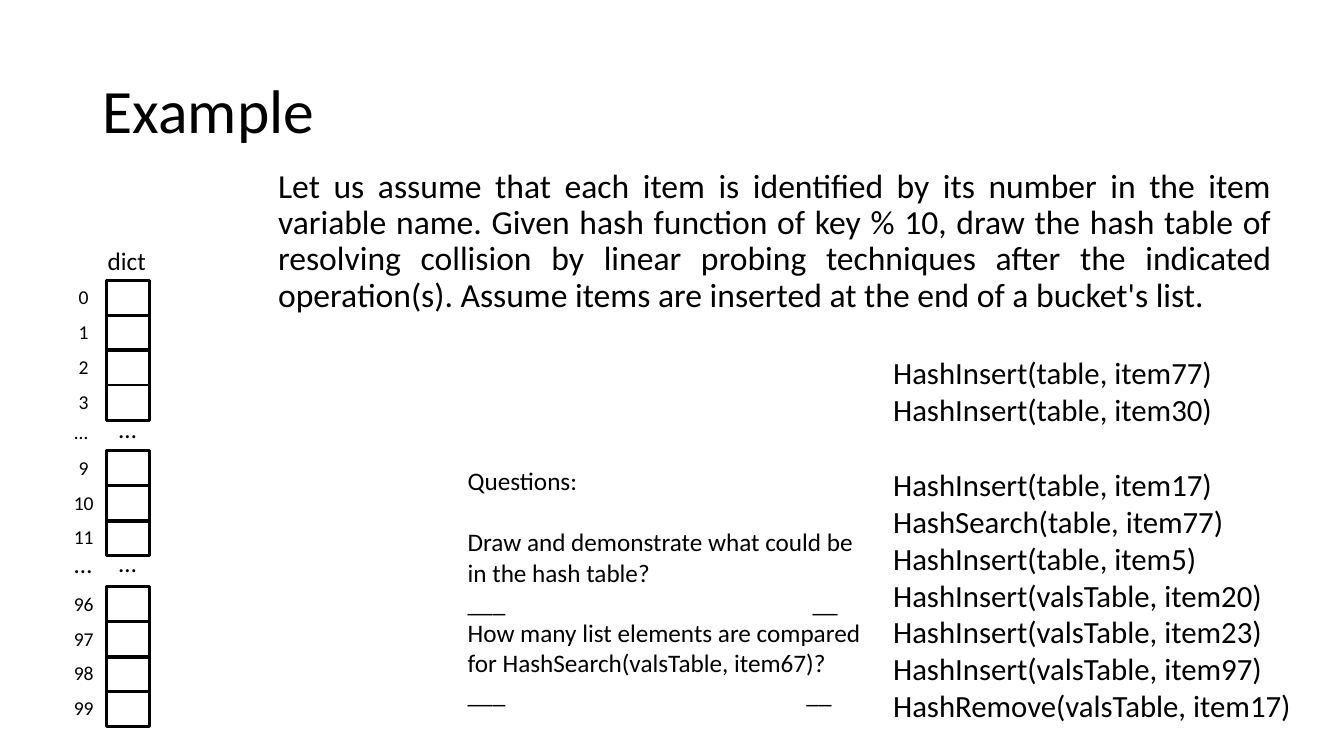
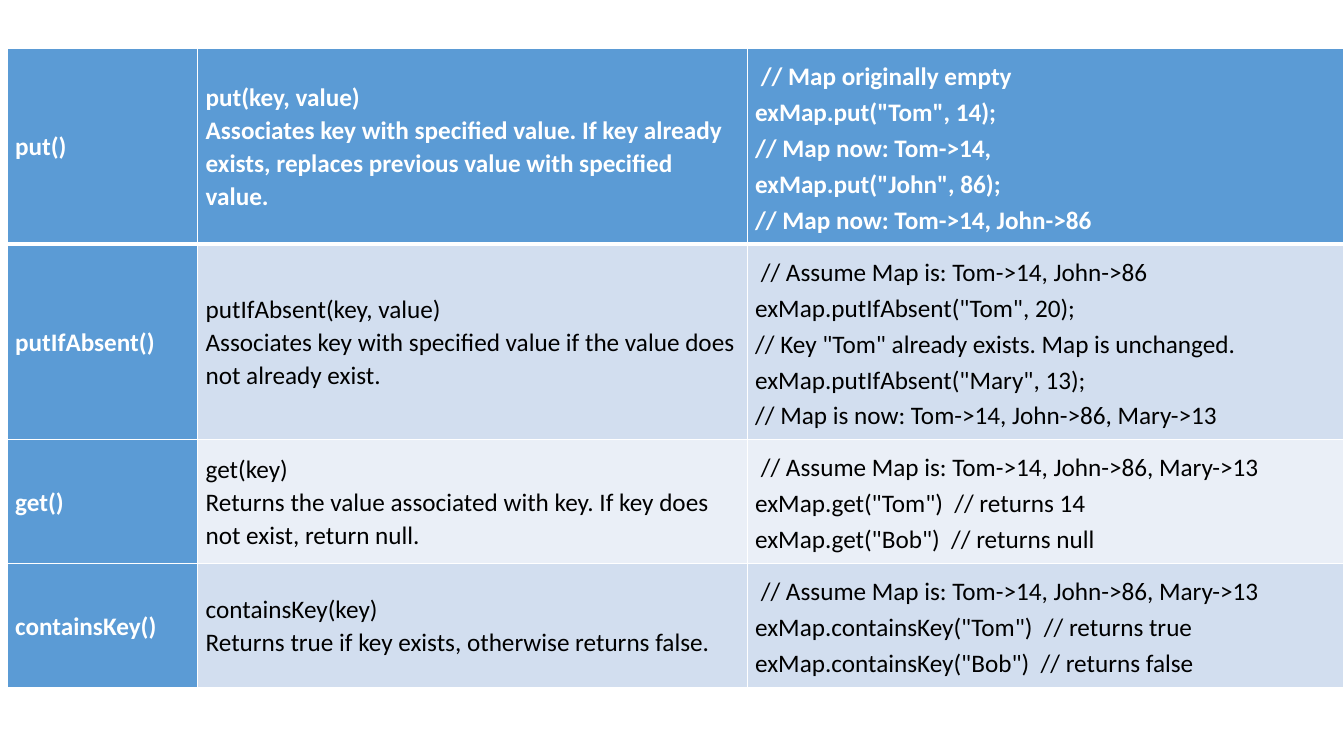
from pptx import Presentation
from pptx.dml.color import RGBColor
from pptx.enum.shapes import MSO_SHAPE
from pptx.enum.text import MSO_ANCHOR, MSO_AUTO_SIZE, PP_ALIGN
from pptx.oxml import parse_xml
from pptx.oxml.ns import nsdecls
from pptx.util import Emu, Pt

# Shared look
FONT = "Calibri"
BLACK, WHITE = "000000", "FFFFFF"
BLUE, PALE_BLUE, PALER_BLUE = "5B9BD5", "D2DEEF", "EAEFF7"

# Hash table: top of each run of buckets, and the bucket numbers in it
BUCKET_RUNS = [(278, [0, 1, 2, 3]), (447, [9, 10, 11]), (582, [96, 97, 98, 99])]
BUCKET_PITCH = 34.6
ELLIPSES = [(108, 405, 18), (108, 538, 18), (64, 412, 14), (64, 539, 18)]

ASSIGNMENT = (
    "Let us assume that each item is identified by its number in the item variable "
    "name. Given hash function of key % 10, draw the hash table of resolving collision "
    "by linear probing techniques after the indicated operation(s). Assume items are "
    "inserted at the end of a bucket's list."
)
FIRST_INSERTS = ["HashInsert(table, item77)", "HashInsert(table, item30)"]
LATER_OPERATIONS = [
    "HashInsert(table, item17)",
    "HashSearch(table, item77)",
    "HashInsert(table, item5)",
    "HashInsert(valsTable, item20)",
    "HashInsert(valsTable, item23)",
    "HashInsert(valsTable, item97)",
    "HashRemove(valsTable, item17)",
]
# Each question with the tab stop that ends its answer line
QUESTIONS = [
    ("Draw and demonstrate what could be in the hash table?", 342),
    ("How many list elements are compared for HashSearch(valsTable, item67)?", 336),
]

COLUMN_WIDTHS = [189, 545, 592]
# Row height, fill, method, description lines, example lines
METHOD_ROWS = [
    (194, BLUE, "put()",
     ["put(key, value)",
      "Associates key with specified value. If key already exists, "
      "replaces previous value with specified value."],
     [" // Map originally empty",
      'exMap.put("Tom", 14);',
      "// Map now: Tom->14,",
      'exMap.put("John", 86);',
      "// Map now: Tom->14, John->86"]),
    (194, PALE_BLUE, "putIfAbsent()",
     ["putIfAbsent(key, value)",
      "Associates key with specified value if the value does not already exist."],
     [" // Assume Map is: Tom->14, John->86",
      'exMap.putIfAbsent("Tom", 20);',
      '// Key "Tom" already exists. Map is unchanged.',
      'exMap.putIfAbsent("Mary", 13);',
      "// Map is now: Tom->14, John->86, Mary->13"]),
    (123, PALER_BLUE, "get()",
     ["get(key)",
      "Returns the value associated with key. If key does not exist, return null."],
     [" // Assume Map is: Tom->14, John->86, Mary->13",
      'exMap.get("Tom")  // returns 14',
      'exMap.get("Bob")  // returns null']),
    (123, PALE_BLUE, "containsKey()",
     ["containsKey(key)",
      "Returns true if key exists, otherwise returns false."],
     [" // Assume Map is: Tom->14, John->86, Mary->13",
      'exMap.containsKey("Tom")  // returns true',
      'exMap.containsKey("Bob")  // returns false']),
]


def px(length):
    """100 px make one inch."""
    return Emu(round(length * 9144))


def color(hex_string):
    return RGBColor.from_string(hex_string)


def apply(target, values):
    for name, value in values.items():
        setattr(target, name, value)


def add_span(para, text, size, ink=BLACK, **font):
    span = para.add_run()
    span.text = text
    apply(span.font, {"name": FONT, "size": Pt(size), **font})
    span.font.color.rgb = color(ink)


def add_para(frame, text, size, ink=BLACK, bold=False, **layout):
    """Use the empty first paragraph, then add new ones."""
    first = frame.paragraphs[0]
    para = frame.add_paragraph() if first.runs else first
    apply(para, layout)
    if text:
        add_span(para, text, size, ink, bold=bold)
    return para


def add_text_box(shapes, left, top, width, height, **frame_format):
    box = shapes.add_textbox(px(left), px(top), px(width), px(height))
    apply(box.text_frame, {"word_wrap": True, **frame_format})
    return box.text_frame


def add_small_text(shapes, text, size, left, top, width, height):
    frame = add_text_box(shapes, left, top, width, height, word_wrap=False,
                         auto_size=MSO_AUTO_SIZE.SHAPE_TO_FIT_TEXT)
    add_para(frame, text, size)


def add_bucket(shapes, number, top):
    bucket = shapes.add_shape(MSO_SHAPE.RECTANGLE, px(106), px(top), px(42), px(35))
    bucket.shadow.inherit = False
    bucket.fill.background()
    bucket.line.width = Pt(2)
    bucket.line.color.rgb = color(BLACK)
    label = add_text_box(shapes, 62, top - 1, 42, 35, margin_left=0, margin_right=0,
                         vertical_anchor=MSO_ANCHOR.MIDDLE)
    add_para(label, str(number), 14, alignment=PP_ALIGN.CENTER)


def add_answer_line(frame, size, tab_stop):
    """Underscores joined by an underlined tab."""
    para = add_para(frame, "", size)
    add_span(para, "___", size)
    add_span(para, "\t", size, underline=True)
    add_span(para, "__", size)
    para.runs[0].font.underline = False
    properties = parse_xml(
        f'<a:pPr {nsdecls("a")}><a:tabLst>'
        f'<a:tab pos="{px(tab_stop)}" algn="l"/></a:tabLst></a:pPr>')
    para._p.insert(0, properties)


def set_borders(cell, top, bottom):
    widths = {"lnL": 1, "lnR": 1, "lnT": top, "lnB": bottom}
    properties = cell._tc.get_or_add_tcPr()
    for side, width in widths.items():
        properties.append(parse_xml(
            f'<a:{side} {nsdecls("a")} w="{Pt(width)}"><a:solidFill>'
            f'<a:srgbClr val="{WHITE}"/></a:solidFill></a:{side}>'))


def fill_cell(cell, lines, fill, ink, bold, spacing):
    margins = ("margin_left", "margin_top", "margin_right", "margin_bottom")
    apply(cell, {"vertical_anchor": MSO_ANCHOR.MIDDLE, **dict.fromkeys(margins, px(8))})
    cell.fill.solid()
    cell.fill.fore_color.rgb = color(fill)
    for line in lines:
        add_para(cell.text_frame, line, 18, ink, bold, line_spacing=spacing)


def build_example(page):
    title = add_text_box(page.shapes, 92, 40, 1150, 145,
                         vertical_anchor=MSO_ANCHOR.MIDDLE)
    add_para(title, "Example", 44, line_spacing=0.9)
    body = add_text_box(page.shapes, 266, 163, 1005, 476)
    add_para(body, ASSIGNMENT, 24, line_spacing=0.9, alignment=PP_ALIGN.JUSTIFY)

    # Operations, with a one-line gap before the later ones
    operations = add_text_box(page.shapes, 876, 346, 455, 377)
    for line in FIRST_INSERTS + LATER_OPERATIONS:
        gap = 27 if line == LATER_OPERATIONS[0] else 0
        add_para(operations, line, 22, space_before=Pt(gap))

    # Buckets of the hash table
    hash_table = page.shapes.add_group_shape().shapes
    for run_top, numbers in BUCKET_RUNS:
        for index, number in enumerate(numbers):
            add_bucket(hash_table, number, round(run_top + index * BUCKET_PITCH))
    for left, top, size in ELLIPSES:
        add_small_text(hash_table, "…", size, left, top, 38, 40 if size == 18 else 34)
    add_small_text(page.shapes, "dict", 18, 97, 238, 58, 40)

    # Questions with answer lines
    questions = add_text_box(page.shapes, 454, 457, 412, 283)
    add_para(questions, "Questions:", 18, space_after=Pt(22))
    for question, tab_stop in QUESTIONS:
        add_para(questions, question, 18)
        add_answer_line(questions, 18, tab_stop)


def build_methods(page):
    heights = [row[0] for row in METHOD_ROWS]
    table = page.shapes.add_table(len(METHOD_ROWS), len(COLUMN_WIDTHS), px(7), px(48),
                                  px(sum(COLUMN_WIDTHS)), px(sum(heights))).table
    apply(table, {"first_col": True, "horz_banding": False})
    for column, width in zip(table.columns, COLUMN_WIDTHS):
        column.width = px(width)
    for index, (height, fill, method, description, example) in enumerate(METHOD_ROWS):
        table.rows[index].height = px(height)
        contents = [([method], 1.07), (description, 1.07), (example, 1.17)]
        for column, (lines, spacing) in enumerate(contents):
            cell = table.cell(index, column)
            heading = index == 0 or column == 0
            set_borders(cell, 3 if index == 1 else 1, 3 if index == 0 else 1)
            fill_cell(cell, lines, BLUE if heading else fill,
                      WHITE if heading else BLACK, heading, spacing)


def main():
    deck = Presentation()
    apply(deck, {"slide_width": px(1333), "slide_height": px(750)})
    for build in (build_example, build_methods):
        build(deck.slides.add_slide(deck.slide_layouts[6]))
    deck.save("out.pptx")


if __name__ == "__main__":
    main()
